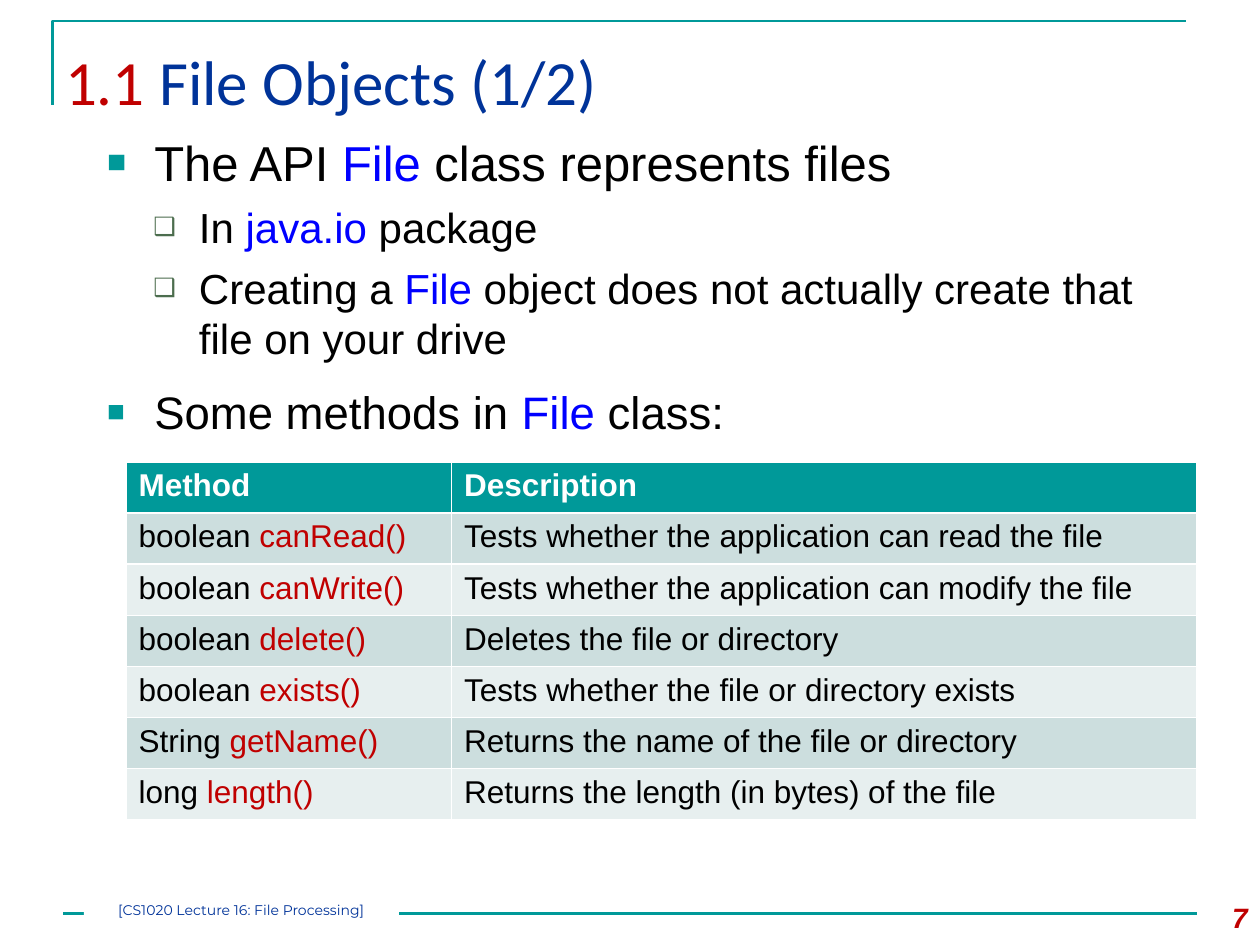
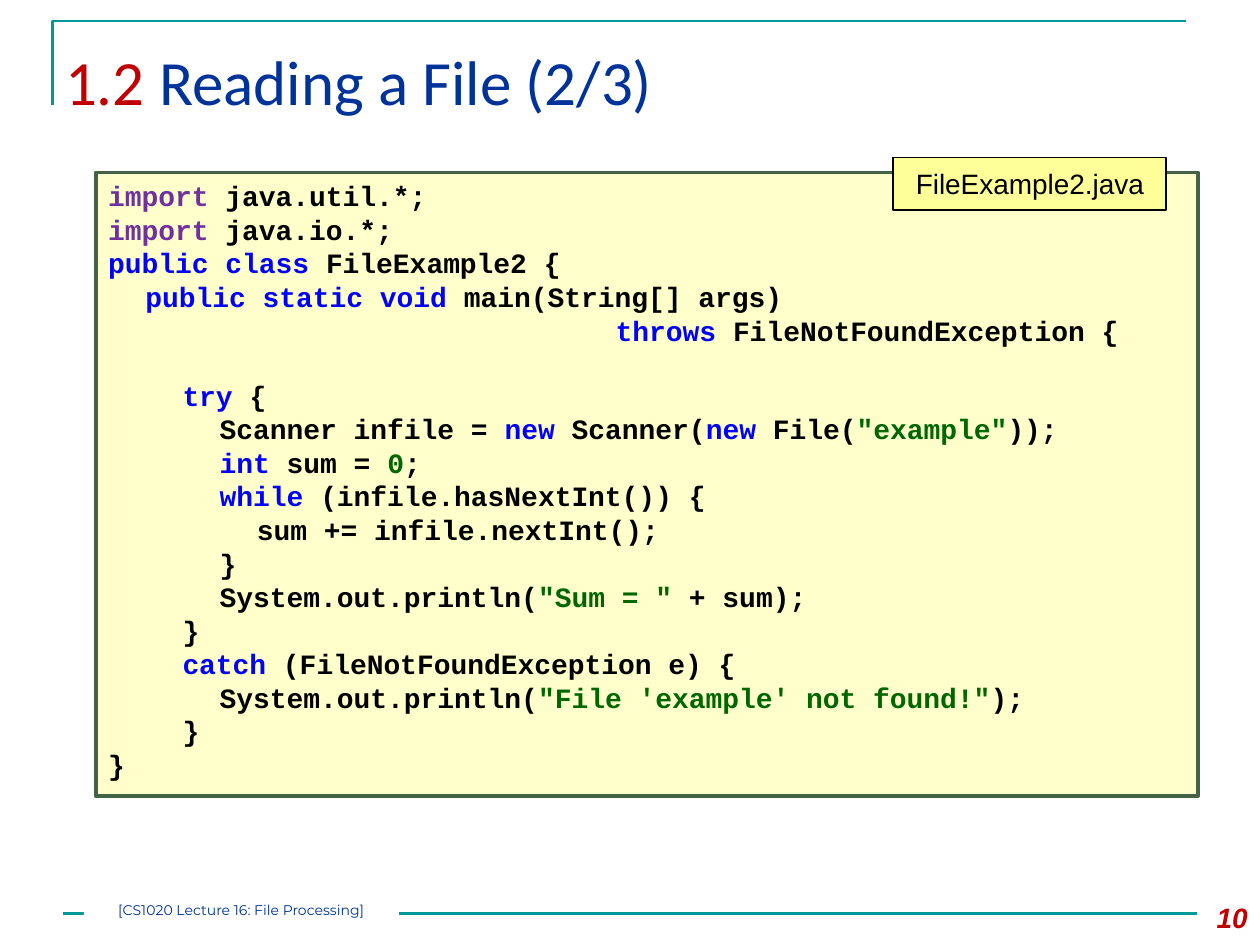
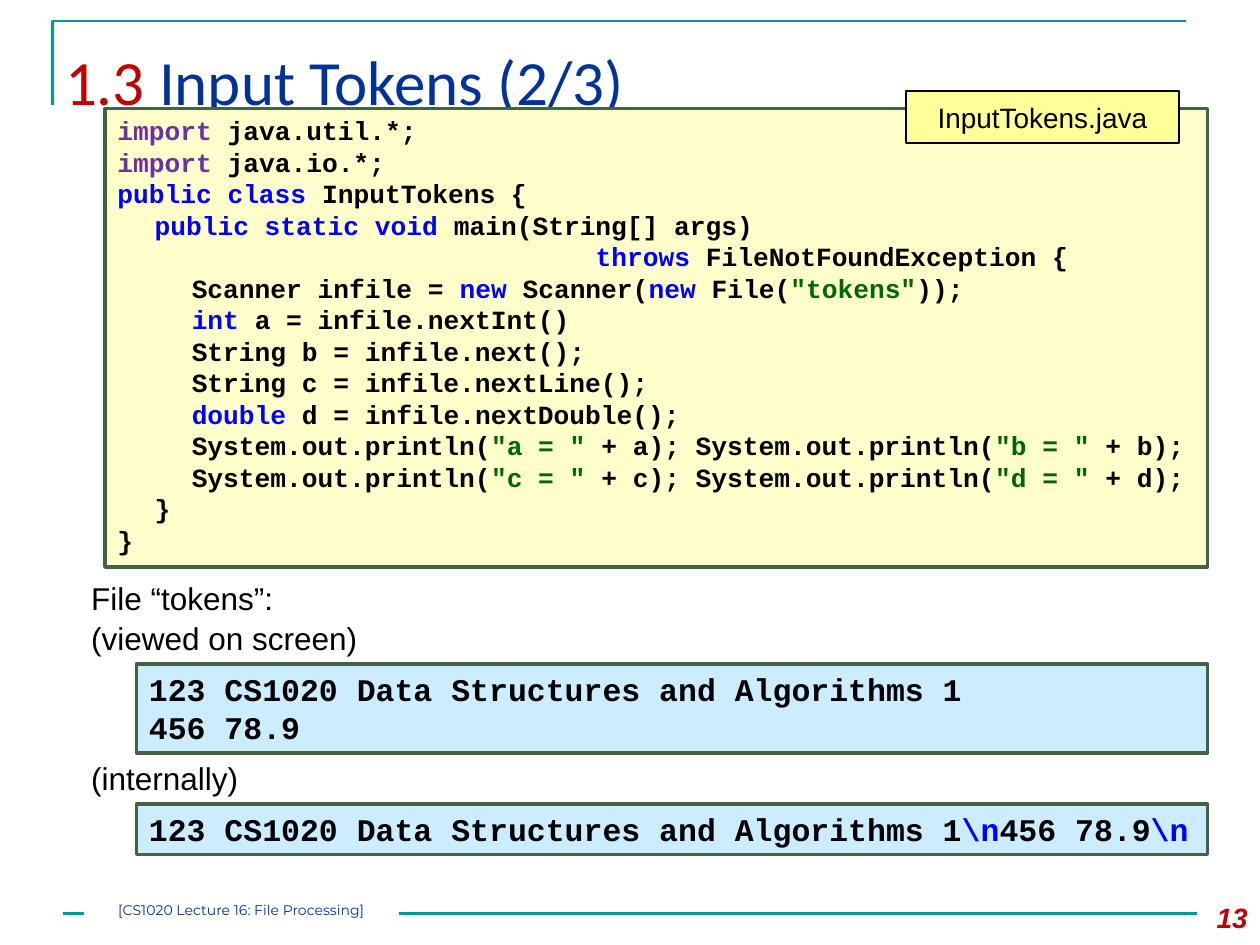
from lxml import etree
from pptx import Presentation
from pptx.dml.color import RGBColor
from pptx.enum.shapes import MSO_CONNECTOR, MSO_SHAPE
from pptx.enum.text import MSO_ANCHOR, MSO_AUTO_SIZE, PP_ALIGN
from pptx.oxml.ns import qn
from pptx.util import Pt

# Colours and fonts
TEAL = RGBColor(0x00, 0x99, 0x99)
NAVY = RGBColor(0x00, 0x33, 0x99)
RED = RGBColor(0xC0, 0x00, 0x00)
BLUE = RGBColor(0x00, 0x00, 0xFF)
PURPLE = RGBColor(0x70, 0x30, 0xA0)
GREEN = RGBColor(0x00, 0x66, 0x00)
DARK_GREEN = RGBColor(0x44, 0x62, 0x46)
BULLET_GREEN = RGBColor(0x4C, 0x6D, 0x4E)
BLACK = RGBColor(0x00, 0x00, 0x00)
WHITE = RGBColor(0xFF, 0xFF, 0xFF)
CREAM = RGBColor(0xFF, 0xFF, 0xCC)
YELLOW = RGBColor(0xFF, 0xFF, 0x99)
PALE_BLUE = RGBColor(0xCC, 0xEC, 0xFF)
BAND_DARK = RGBColor(0xCC, 0xDE, 0xDE)
BAND_LIGHT = RGBColor(0xE7, 0xEF, 0xEF)
SANS, MONO = "Arial", "Courier New"

# Text is split at "|"; a piece that starts with one of these signs takes its colour
MARKS = {"~": BLUE, "^": PURPLE, "$": GREEN, "#": RED}
TAB = 21.25
THROWS_INDENT = 28  # characters after the first tab stop


def write(paragraph, marked, font, size, color=BLACK, bold=False):
    paragraph.font.name = font
    paragraph.font.size = Pt(size)
    paragraph.font.bold = bold
    for piece in marked.split("|"):
        run = paragraph.add_run()
        run.text = piece[1:] if piece[0] in MARKS else piece
        run.font.color.rgb = MARKS.get(piece[0], color)


def add_panel(slide, area, fill, border=None, width=2):
    panel = slide.shapes.add_shape(MSO_SHAPE.RECTANGLE, *map(Pt, area))
    panel.shadow.inherit = False
    panel.fill.solid()
    panel.fill.fore_color.rgb = fill
    if border is None:
        panel.line.fill.background()
    else:
        panel.line.color.rgb = border
        panel.line.width = Pt(width)
    frame = panel.text_frame
    frame.word_wrap = True
    frame.vertical_anchor = MSO_ANCHOR.TOP
    frame.paragraphs[0].alignment = PP_ALIGN.LEFT
    return frame


# Content
pages = [
    ("#1.1 |File Objects (1/2)", "7", 1),
    ("#1.2 |Reading a File (2/3)", "10", 5),
    ("#1.3 |Input Tokens (2/3)", "13", 5),
]

# level, size, space before, text
points = [
    (0, 28, 6, "The API |~File| class represents files"),
    (1, 24, 6, "In |~java.io| package"),
    (1, 24, 6, "Creating a |~File| object does not actually create that file on your drive"),
    (0, 26, 12, "Some methods in |~File| class:"),
]
# left indent, hanging indent, colour, size in percent, sign
bullets = [(27, -27, TEAL, 65, "■"), (52.5, -26, BULLET_GREEN, 60, "❑")]

methods = [
    ("Method", "Description"),
    ("boolean |#canRead()", "Tests whether the application can read the file"),
    ("boolean |#canWrite()", "Tests whether the application can modify the file"),
    ("boolean |#delete()", "Deletes the file or directory"),
    ("boolean |#exists()", "Tests whether the file or directory exists"),
    ("String |#getName()", "Returns the name of the file or directory"),
    ("long |#length()", "Returns the length (in bytes) of the file"),
]

# Code lines start with their tab depth; "T" is the throws line
reading_code = [
    ("0", "^import |java.util.*;"),
    ("0", "^import| java.io.*;"),
    ("0", "~public class |FileExample2 {"),
    ("1", "~public static void |main(String[] args)"),
    ("T", "~throws |FileNotFoundException {"),
    ("2", "~try| {"),
    ("3", 'Scanner infile = |~new| Scanner(|~new| File(|$"example"|));'),
    ("3", "~int| sum = |$0|;"),
    ("3", "~while |(infile.hasNextInt()) {"),
    ("4", "sum += infile.nextInt();"),
    ("3", "}"),
    ("3", 'System.out.println(|$"Sum = "| + sum);'),
    ("2", "}"),
    ("2", "~catch| (FileNotFoundException e) {"),
    ("3", "System.out.println(|$\"File 'example' not found!\"|);"),
    ("2", "}"),
    ("0", "}"),
]
tokens_code = [
    ("0", "^import |java.util.*;"),
    ("0", "^import| java.io.*;"),
    ("0", "~public class |InputTokens {"),
    ("1", "~public static void |main(String[] args)"),
    ("T", "~throws |FileNotFoundException {"),
    ("2", 'Scanner infile = |~new| Scanner(|~new| File(|$"tokens"|));'),
    ("2", "~int| a = infile.nextInt()"),
    ("2", "String b = infile.next();"),
    ("2", "String c = infile.nextLine();"),
    ("2", "~double| d = infile.nextDouble();"),
    ("2", 'System.out.println(|$"a = " |+ a); System.out.println(|$"b = "| + b);'),
    ("2", 'System.out.println(|$"c = " |+ c); System.out.println(|$"d = "| + d);'),
    ("1", "}"),
    ("0", "}"),
]

deck = Presentation()
deck.slide_width, deck.slide_height = Pt(720), Pt(540)

# Shared parts: corner frame, title, footer and page number
slides = []
for heading, number, layout in pages:
    slide = deck.slides.add_slide(deck.slide_layouts[layout])
    slides.append(slide)

    outline = slide.shapes.build_freeform(Pt(30), Pt(60))
    outline.add_line_segments([(Pt(30), Pt(12)), (Pt(678), Pt(12))], close=False)
    corner = outline.convert_to_shape()
    corner.shadow.inherit = False
    corner.fill.background()
    corner.line.color.rgb = TEAL
    corner.line.width = Pt(1.5)

    footer_rule = slide.shapes.add_connector(
        MSO_CONNECTOR.STRAIGHT, Pt(36), Pt(522), Pt(684), Pt(522))
    footer_rule.line.color.rgb = TEAL
    footer_rule.line.width = Pt(1.5)
    etree.SubElement(footer_rule._element.spPr, qn("a:effectLst"))

    title = slide.shapes.title
    title.left, title.top, title.width, title.height = Pt(30), Pt(18), Pt(672), Pt(62)
    title.text_frame.auto_size = MSO_AUTO_SIZE.NONE
    title.text_frame.vertical_anchor = MSO_ANCHOR.TOP
    title.text_frame.margin_top = Pt(6)
    title.text_frame.paragraphs[0].alignment = PP_ALIGN.LEFT
    write(title.text_frame.paragraphs[0], heading, "Calibri", 36, NAVY)

    lecture = add_panel(slide, (48, 515, 180, 13), WHITE)
    lecture.margin_left = lecture.margin_right = 0
    lecture.margin_top = lecture.margin_bottom = 0
    lecture.paragraphs[0].alignment = PP_ALIGN.CENTER
    write(lecture.paragraphs[0], "[CS1020 Lecture 16: File Processing]", "Montserrat", 8, NAVY)

    page = slide.shapes.add_textbox(Pt(672), Pt(511), Pt(48), Pt(29)).text_frame
    page.word_wrap = True
    page.paragraphs[0].alignment = PP_ALIGN.RIGHT
    page.paragraphs[0].font.italic = True
    write(page.paragraphs[0], number, SANS, 16, RED, bold=True)

objects_slide, reading_slide, tokens_slide = slides

# File objects: bullet list
body = objects_slide.placeholders[1]
body.left, body.top, body.width, body.height = Pt(54), Pt(72), Pt(630), Pt(204)
body.text_frame.auto_size = MSO_AUTO_SIZE.NONE
for i, (level, size, before, text) in enumerate(points):
    point = body.text_frame.add_paragraph() if i else body.text_frame.paragraphs[0]
    point.level = level
    point.space_before = Pt(before)
    left, hanging, color, percent, sign = bullets[level]
    props = point._p.get_or_add_pPr()
    props.set("marL", str(Pt(left)))
    props.set("indent", str(Pt(hanging)))
    bullet_color = etree.SubElement(props, qn("a:buClr"))
    etree.SubElement(bullet_color, qn("a:srgbClr"), val=str(color))
    etree.SubElement(props, qn("a:buSzPct"), val=str(percent * 1000))
    etree.SubElement(props, qn("a:buFont"), typeface=SANS)
    etree.SubElement(props, qn("a:buChar"), char=sign)
    write(point, text, SANS, size)

# File objects: method table
method_table = objects_slide.shapes.add_table(
    len(methods), 2, Pt(72), Pt(264), Pt(612), Pt(29.2 * len(methods))).table
method_table.columns[0].width, method_table.columns[1].width = Pt(186), Pt(426)
for r, entry in enumerate(methods):
    for c, text in enumerate(entry):
        cell = method_table.cell(r, c)
        cell.fill.solid()
        cell.fill.fore_color.rgb = (BAND_DARK if r % 2 else BAND_LIGHT) if r else TEAL
        write(cell.text_frame.paragraphs[0], text, SANS, 18,
              BLACK if r else WHITE, bold=r == 0)

# Code listings with file name tags
listings = [
    (reading_slide, reading_code, 16, (54.7, 98.6, 630, 356.4),
     "FileExample2.java", (510.5, 90)),
    (tokens_slide, tokens_code, 15, (60, 62, 630, 262),
     "InputTokens.java", (517.7, 52)),
]
for slide, code, size, area, file_name, corner in listings:
    listing = add_panel(slide, area, CREAM, DARK_GREEN)
    for i, (depth, text) in enumerate(code):
        line = listing.add_paragraph() if i else listing.paragraphs[0]
        line.alignment = PP_ALIGN.LEFT
        indent = TAB + THROWS_INDENT * 0.6 * size if depth == "T" else TAB * int(depth)
        line._p.get_or_add_pPr().set("marL", str(Pt(indent)))
        if text.startswith("~try"):
            line.space_before = Pt(18)
        write(line, text, MONO, size, bold=True)

    tag = add_panel(slide, (*corner, 156, 30), YELLOW, BLACK, 1)
    tag.vertical_anchor = MSO_ANCHOR.MIDDLE
    tag.paragraphs[0].alignment = PP_ALIGN.CENTER
    write(tag.paragraphs[0], file_name, SANS, 16)

# Input tokens: labels and file contents
for top, text in [(327.5, "File “tokens”:"), (350, "(viewed on screen)"), (430, "(internally)")]:
    label = tokens_slide.shapes.add_textbox(Pt(45), Pt(top), Pt(174), Pt(29)).text_frame
    label.word_wrap = True
    write(label.paragraphs[0], text, SANS, 18)

first_line = "123 CS1020 Data Structures and Algorithms 1"
views = [
    (379.3, 51, [first_line, "456 78.9"]),
    (459.3, 29, [first_line + r"|~\n|456 78.9|~\n"]),
]
for top, height, lines in views:
    view = add_panel(tokens_slide, (78, top, 612, height), PALE_BLUE, DARK_GREEN)
    for i, text in enumerate(lines):
        line = view.add_paragraph() if i else view.paragraphs[0]
        line.alignment = PP_ALIGN.LEFT
        write(line, text, MONO, 18, bold=True)

deck.save("out.pptx")
